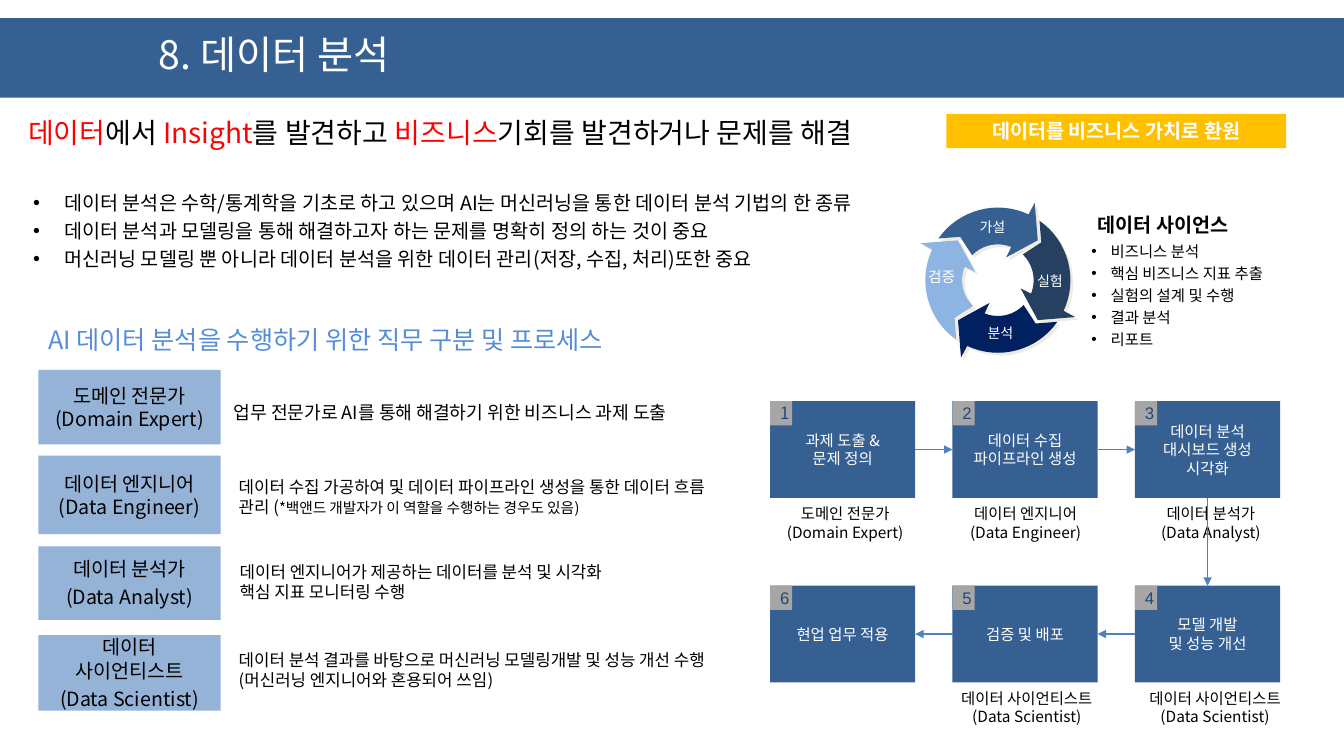
from dataclasses import dataclass
from math import cos, radians, sin

from lxml import etree
from pptx import Presentation
from pptx.dml.color import RGBColor
from pptx.enum.shapes import MSO_CONNECTOR, MSO_SHAPE
from pptx.enum.text import MSO_ANCHOR, PP_ALIGN
from pptx.oxml.ns import qn
from pptx.util import Inches, Pt

RECTANGLE, STRAIGHT = MSO_SHAPE.RECTANGLE, MSO_CONNECTOR.STRAIGHT
TOP, MIDDLE = MSO_ANCHOR.TOP, MSO_ANCHOR.MIDDLE
LEFT, CENTER = PP_ALIGN.LEFT, PP_ALIGN.CENTER
SIDE_TOP, SIDE_LEFT, SIDE_BOTTOM, SIDE_RIGHT = range(4)
COLUMNS = 80  # square cells: 80 columns by 45 rows


@dataclass(frozen=True)
class Theme:
    font: str = "Noto Sans CJK KR"
    digits: str = "Arial"
    white: str = "FFFFFF"
    black: str = "000000"
    red: str = "FF0000"
    gold: str = "FFC000"
    blue: str = "376092"
    pale: str = "95B3D7"
    section: str = "558ED5"
    arrow: str = "4F81BD"
    badge: str = "A6A6A6"
    number: str = "1F497D"
    shadow: str = "EEECE1"
    cycle: tuple = ("376092", "254061", "002060", "8EB4E3")
    title_size: float = 28
    headline_size: float = 20
    section_size: float = 18
    body_size: float = 14
    task_size: float = 13
    note_size: float = 12
    step_size: float = 11
    small_size: float = 10.5
    cycle_size: float = 10


THEME = Theme()


@dataclass(frozen=True)
class Area:
    """Left, top, width and height in grid cells."""
    left: float
    top: float
    width: float
    height: float


@dataclass(frozen=True)
class Span:
    text: str
    color: str = THEME.black
    size: float = 0


@dataclass(frozen=True)
class Style:
    size: float
    color: str = THEME.black
    font: str = THEME.font
    bold: bool = False
    align: PP_ALIGN = LEFT
    anchor: MSO_ANCHOR = MIDDLE
    before: float = 0
    line: object = None
    bullet: float = 0


@dataclass(frozen=True)
class Role:
    name: str
    top: float
    height: float
    before: float
    task_area: Area
    task: list
    task_style: Style


@dataclass(frozen=True)
class Step:
    column: int
    row: int
    text: str
    owner: str = ""
    owner_shift: float = 0


deck = Presentation()
deck.slide_width, deck.slide_height = Inches(13.333), Inches(7.5)
page = deck.slides.add_slide(deck.slide_layouts[6])
CELL = deck.slide_width / COLUMNS


def cells(*counts: float) -> list:
    return [round(count * CELL) for count in counts]


def frame(area: Area) -> list:
    return cells(area.left, area.top, area.width, area.height)


def paint(shape, color: str) -> None:
    shape.shadow.inherit = False
    shape.fill.solid()
    shape.fill.fore_color.rgb = RGBColor.from_string(color)
    shape.line.fill.background()


def write(shape, lines: list, style: Style) -> None:
    """Fill a shape with paragraphs, each a string or a list of spans."""
    box = shape.text_frame
    box.word_wrap, box.vertical_anchor = True, style.anchor
    for index, line in enumerate(lines):
        para = box.add_paragraph() if index else box.paragraphs[0]
        para.alignment, para.space_before = style.align, Pt(style.before)
        if style.line:
            para.line_spacing = style.line
        if style.bullet:
            properties = para._p.get_or_add_pPr()
            properties.set("marL", str(Inches(style.bullet)))
            properties.set("indent", str(-Inches(style.bullet)))
            etree.SubElement(properties, qn("a:buFont")).set("typeface", "Arial")
            etree.SubElement(properties, qn("a:buChar")).set("char", "•")
        for span in [Span(line, style.color)] if isinstance(line, str) else line:
            for part, text in enumerate(span.text.split("\n")):
                if part:
                    para.add_line_break()
                run = para.add_run()
                run.text = text
                run.font.name, run.font.bold = style.font, style.bold
                run.font.size = Pt(span.size or style.size)
                run.font.color.rgb = RGBColor.from_string(span.color)
                etree.SubElement(run._r.get_or_add_rPr(), qn("a:ea")).set("typeface", THEME.font)


def add_text(area: Area, lines: list, style: Style) -> None:
    write(page.shapes.add_textbox(*frame(area)), lines, style)


def add_block(area: Area, color: str, lines: list = (), style: Style = Style(THEME.body_size)):
    block = page.shapes.add_shape(RECTANGLE, *frame(area))
    paint(block, color)
    write(block, lines, style)
    return block


def add_cycle_arrow(turn: float, color: str) -> None:
    """Draw a quarter of the ring, turned clockwise by some degrees."""
    def at(radius: float, angle: float) -> list:
        angle = radians(angle + turn)
        return cells(59.4 + radius * cos(angle), 16.68 + radius * sin(angle))

    outer = [at(4.32, angle) for angle in range(215, 296, 5)]
    head = [at(5.1, 295.5), at(3.36, 315), at(1.44, 290)]
    inner = [at(2.13, angle) for angle in range(292, 223, -4)]
    builder = page.shapes.build_freeform(*outer[0])
    builder.add_line_segments(outer[1:] + head + inner + [at(3.42, 229)], close=True)
    arrow = builder.convert_to_shape()
    paint(arrow, color)
    effects = arrow._element.spPr.find(qn("a:effectLst"))
    shadow = etree.SubElement(effects, qn("a:outerShdw"), dist=str(Pt(2.8)), dir="2700000", algn="ctr", rotWithShape="0")
    etree.SubElement(shadow, qn("a:srgbClr"), val=THEME.shadow)


def connect(start, start_side: int, end, end_side: int) -> None:
    arrow = page.shapes.add_connector(STRAIGHT, 0, 0, 0, 0)
    arrow.begin_connect(start, start_side)
    arrow.end_connect(end, end_side)
    arrow.line.color.rgb = RGBColor.from_string(THEME.arrow)
    arrow.line.width = Pt(0.75)
    etree.SubElement(arrow.line._get_or_add_ln(), qn("a:tailEnd"), type="triangle")
    etree.SubElement(arrow._element.spPr, qn("a:effectLst"))


NOTE = Style(THEME.note_size)
ROLES = [
    Role("도메인 전문가\n(Domain Expert)", 22.02, 4.44, 0, Area(13.32, 22.68, 30.96, 3.66),
         ["업무 전문가로 AI를 통해 해결하기 위한 비즈니스 과제 도출"], Style(THEME.task_size)),
    Role("데이터 엔지니어\n(Data Engineer)", 27.12, 4.68, 0, Area(13.62, 27.48, 29.7, 4.2),
         [[Span("데이터 수집 가공하여 및 데이터 파이프라인 생성을 통한 데이터 흐름 관리 ("),
           Span("*백앤드 개발자가 이 역할을 수행하는 경우도 있음)", size=THEME.small_size)]], NOTE),
    Role("데이터 분석가\n(Data Analyst)", 32.52, 4.38, 3.3, Area(13.68, 33.12, 30.24, 3),
         ["데이터 엔지니어가 제공하는 데이터를 분석 및 시각화\n핵심 지표 모니터링 수행"],
         Style(THEME.note_size, anchor=TOP)),
    Role("데이터 사이언티스트\n(Data Scientist)", 37.8, 4.5, 3.3, Area(13.62, 37.38, 29.7, 4.98),
         ["데이터 분석 결과를 바탕으로 머신러닝 모델링개발 및 성능 개선 수행 (머신러닝 엔지니어와 혼용되어 쓰임)"], NOTE),
]
STEPS = [
    Step(0, 0, "과제 도출 &\n문제 정의", "도메인 전문가\n(Domain Expert)", 0.15),
    Step(1, 0, "데이터 수집\n파이프라인 생성", "데이터 엔지니어\n(Data Engineer)", 0.03),
    Step(2, 0, "데이터 분석\n대시보드 생성\n시각화", "데이터 분석가\n(Data Analyst)", 0.2),
    Step(2, 1, "모델 개발\n및 성능 개선", "데이터 사이언티스트\n(Data Scientist)", 0.45),
    Step(1, 1, "검증 및 배포", "데이터 사이언티스트\n(Data Scientist)", 0.1),
    Step(0, 1, "현업 업무 적용"),
]

add_block(Area(0, 1.08, COLUMNS, 4.74), THEME.blue)
add_text(Area(8.34, 1.8, 47.28, 3.18), [" 8. 데이터 분석"], Style(THEME.title_size, THEME.white, before=10, line=0.9))
add_text(Area(1.08, 6.36, 75.18, 2.94),
         [[Span("데이터", THEME.red), Span("에서 "), Span("Insight", THEME.red), Span("를 발견하고 "),
           Span("비즈니스", THEME.red), Span("기회를 발견하거나 문제를 해결")]],
         Style(THEME.headline_size, before=10, line=Pt(25)))
add_block(Area(56.34, 6.78, 20.22, 2.04), THEME.gold, ["데이터를 비즈니스 가치로 환원"],
          Style(THEME.body_size, THEME.white, bold=True, align=CENTER, anchor=TOP))
add_text(Area(1.38, 10.5, 54.24, 6.48),
         ["데이터 분석은 수학/통계학을 기초로 하고 있으며 AI는 머신러닝을 통한 데이터 분석 기법의 한 종류",
          "데이터 분석과 모델링을 통해 해결하고자 하는 문제를 명확히 정의 하는 것이 중요",
          "머신러닝 모델링 뿐 아니라 데이터 분석을 위한 데이터 관리(저장, 수집, 처리)또한 중요"],
         Style(THEME.body_size, before=3, bullet=0.31))
add_text(Area(2.28, 18.6, 42, 2.94), ["AI 데이터 분석을 수행하기 위한 직무 구분 및 프로세스"],
         Style(THEME.section_size, THEME.section, before=10, line=Pt(25)))

for role in ROLES:
    add_block(Area(2.28, role.top, 10.86, role.height), THEME.pale, role.name.split("\n"),
              Style(THEME.body_size, align=CENTER, before=role.before))
    add_text(role.task_area, role.task, role.task_style)

blocks = []
for number, step in enumerate(STEPS, 1):
    left, top = 45.84 + 10.86 * step.column, 23.88 + 10.98 * step.row
    blocks.append(add_block(Area(left, top, 8.64, 5.76), THEME.blue, step.text.split("\n"),
                            Style(THEME.step_size, THEME.white, align=CENTER)))
    add_block(Area(left, top, 1.32, 1.44), THEME.badge, [str(number)],
              Style(THEME.note_size, THEME.number, THEME.font if number == 1 else THEME.digits, align=CENTER))
    if step.owner:
        add_text(Area(left - 0.81 + step.owner_shift, top + 5.84, 10.26, 2.82), step.owner.split("\n"),
                 Style(THEME.step_size, align=CENTER, anchor=TOP))
SIDES = [(SIDE_RIGHT, SIDE_LEFT)] * 2 + [(SIDE_BOTTOM, SIDE_TOP)] + [(SIDE_LEFT, SIDE_RIGHT)] * 2
for start, end, (start_side, end_side) in zip(blocks, blocks[1:], SIDES):
    connect(start, start_side, end, end_side)

PHASES = [("가설", Area(57.72, 12.54, 4.26, 1.62), THEME.cycle_size), ("실험", Area(61.14, 15.78, 4.62, 2.94), THEME.cycle_size),
          ("분석", Area(58.2, 18.84, 6, 1.74), THEME.cycle_size), ("검증", Area(54.66, 15.54, 6, 1.74), THEME.small_size)]
for quarter, (phase, area, size) in enumerate(PHASES):
    add_cycle_arrow(90 * quarter, THEME.cycle[quarter])
    add_text(area, [phase], Style(size, THEME.white, anchor=TOP, line=Pt(14)))
add_text(Area(64.38, 14.1, 12.78, 7.02),
         ["비즈니스 분석", "핵심 비즈니스 지표 추출", "실험의 설계 및 수행", "결과 분석", "리포트"],
         Style(THEME.step_size, anchor=TOP, before=2.5, bullet=0.19))
add_text(Area(64.26, 11.58, 9.96, 2.94), ["데이터 사이언스"],
         Style(THEME.body_size, bold=True, align=CENTER, before=10, line=Pt(25)))

deck.save("out.pptx")
